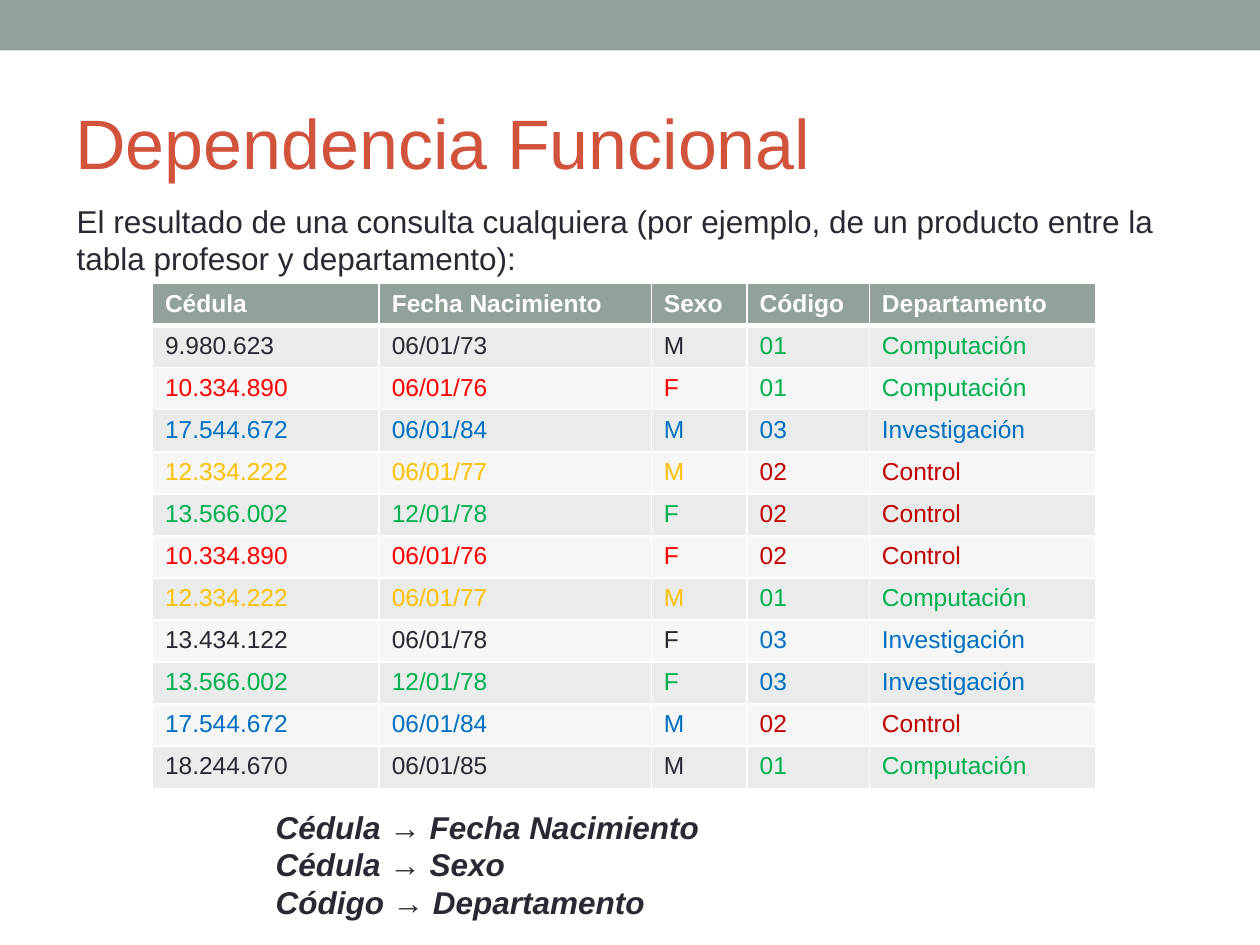
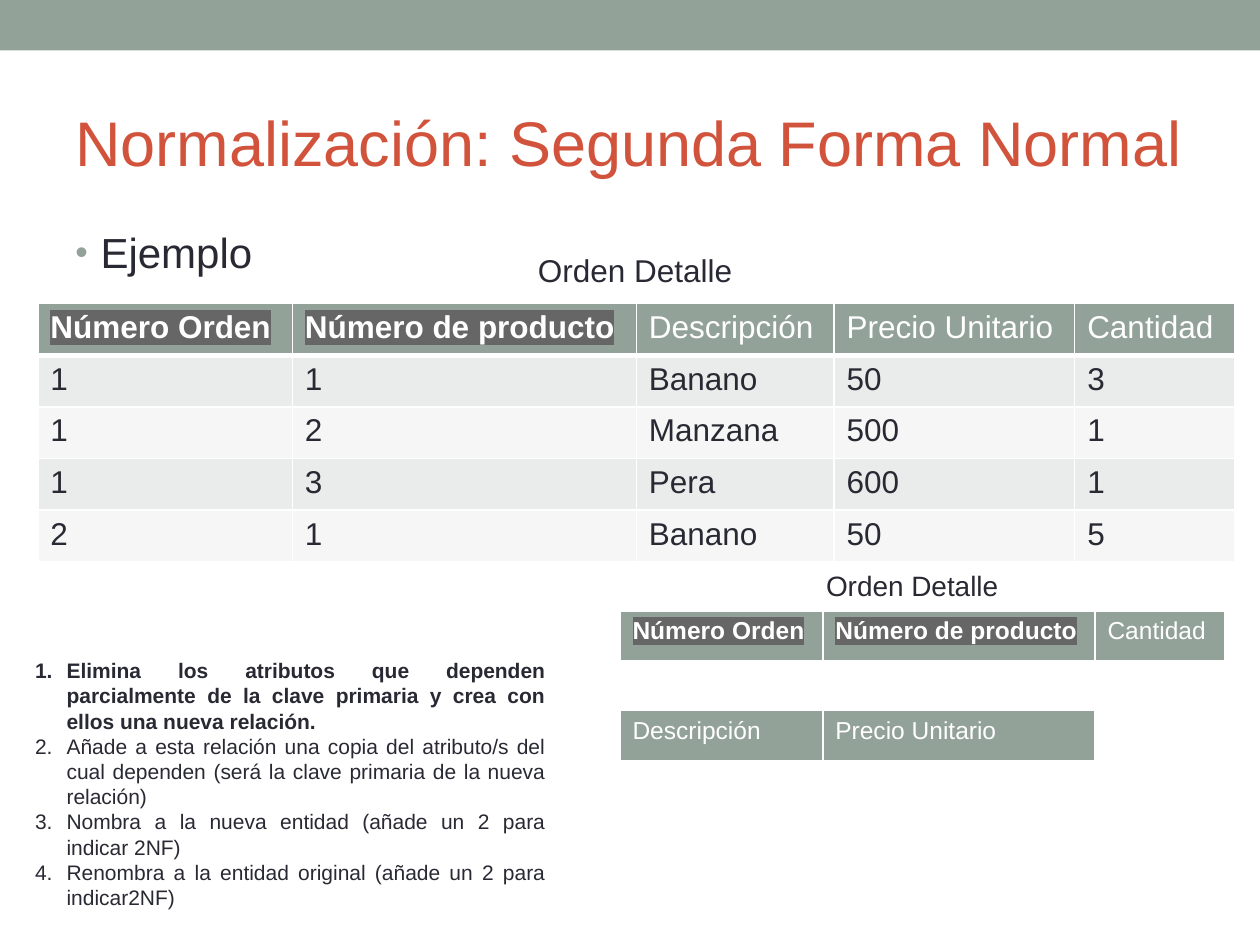
from dataclasses import dataclass
from typing import NamedTuple

from lxml import etree
from pptx import Presentation
from pptx.dml.color import RGBColor
from pptx.enum.shapes import MSO_SHAPE
from pptx.enum.text import MSO_ANCHOR, PP_ALIGN
from pptx.oxml.ns import qn
from pptx.util import Emu, Inches, Pt

RECTANGLE = MSO_SHAPE.RECTANGLE
TOP, MIDDLE = MSO_ANCHOR.TOP, MSO_ANCHOR.MIDDLE
LEFT, CENTER, JUSTIFY = PP_ALIGN.LEFT, PP_ALIGN.CENTER, PP_ALIGN.JUSTIFY

SLIDE_WIDTH, SLIDE_HEIGHT = Inches(10), Inches(7.5)
GRID_COLUMNS, GRID_ROWS = 100, 75
FONT = "Arial"
COLORS = {
    "accent": "93A299",
    "title": "D2533C",
    "text": "292934",
    "white": "FFFFFF",
    "band_dark": "E9ECEA",
    "band_light": "F5F6F5",
    "key": "666666",
    "red": "FF0000",
    "blue": "0070C0",
    "yellow": "FFC000",
    "green": "00B050",
    "dark_red": "C00000",
}


class Box(NamedTuple):
    """Place on the slide, in grid columns and rows."""
    left: float
    top: float
    width: float
    height: float


class Bullet(NamedTuple):
    tag: str
    attribute: str
    value: str
    color: str
    indent: float
    percent: int = 100


class Cell(NamedTuple):
    text: str
    color: str = "text"
    bold: bool = False
    highlight: str | None = None


@dataclass
class Grid:
    """A table whose first row is the header."""
    left: float
    top: float
    column_widths: list[float]
    row_height: float
    size: int
    rows: list[list[Cell]]


DOT = Bullet("a:buChar", "char", "•", "accent", 2, 85)
NUMBER = Bullet("a:buAutoNum", "type", "arabicPeriod", "text", 2.5)

PERSON_COLORS = {
    "10.334.890": "red",
    "17.544.672": "blue",
    "12.334.222": "yellow",
    "13.566.002": "green",
}
DEPARTMENTS = {
    "01": ("Computación", "green"),
    "02": ("Control", "dark_red"),
    "03": ("Investigación", "blue"),
}
PEOPLE = [
    ("9.980.623", "06/01/73", "M", "01"),
    ("10.334.890", "06/01/76", "F", "01"),
    ("17.544.672", "06/01/84", "M", "03"),
    ("12.334.222", "06/01/77", "M", "02"),
    ("13.566.002", "12/01/78", "F", "02"),
    ("10.334.890", "06/01/76", "F", "02"),
    ("12.334.222", "06/01/77", "M", "01"),
    ("13.434.122", "06/01/78", "F", "03"),
    ("13.566.002", "12/01/78", "F", "03"),
    ("17.544.672", "06/01/84", "M", "02"),
    ("18.244.670", "06/01/85", "M", "01"),
]
ORDER_LINES = [
    ("1", "1", "Banano", "50", "3"),
    ("1", "2", "Manzana", "500", "1"),
    ("1", "3", "Pera", "600", "1"),
    ("2", "1", "Banano", "50", "5"),
]
ORDER_KEYS = ["Número Orden", "Número de producto"]
PRODUCT_FIELDS = ["Descripción", "Precio Unitario"]
STEPS = [
    "Elimina los atributos que dependen parcialmente de la clave primaria y crea con ellos una nueva relación.",
    "Añade a esta relación una copia del atributo/s del cual dependen (será la clave primaria de la nueva relación)",
    "Nombra a la nueva entidad (añade un 2 para indicar 2NF)",
    "Renombra a la entidad original (añade un 2 para indicar2NF)",
]


def across(columns: float) -> Emu:
    return Emu(round(SLIDE_WIDTH * columns / GRID_COLUMNS))


def down(rows: float) -> Emu:
    return Emu(round(SLIDE_HEIGHT * rows / GRID_ROWS))


def place(box: Box) -> tuple[Emu, Emu, Emu, Emu]:
    return across(box.left), down(box.top), across(box.width), down(box.height)


def rgb(name: str) -> RGBColor:
    return RGBColor.from_string(COLORS[name])


def add_color(parent, tag: str, color: str):
    element = etree.SubElement(parent, qn(tag))
    etree.SubElement(element, qn("a:srgbClr"), val=COLORS[color])
    return element


def set_bullet(paragraph, bullet: Bullet) -> None:
    properties = paragraph._p.get_or_add_pPr()
    indent = across(bullet.indent)
    properties.set("marL", str(indent))
    properties.set("indent", str(-indent))
    add_color(properties, "a:buClr", bullet.color)
    etree.SubElement(properties, qn("a:buSzPct"), val=str(bullet.percent * 1000))
    etree.SubElement(properties, qn("a:buFont"), typeface=FONT)
    etree.SubElement(properties, qn(bullet.tag), {bullet.attribute: bullet.value})


def write_text(paragraph, text: str, *, size: int, color: str = "text", bold: bool = False,
               italic: bool = False, align: PP_ALIGN = LEFT, highlight: str | None = None,
               bullet: Bullet | None = None) -> None:
    paragraph.alignment = align
    if bullet:
        set_bullet(paragraph, bullet)
    run = paragraph.add_run()
    run.text = text
    font = run.font
    font.size, font.bold, font.italic = Pt(size), bold, italic
    font.color.rgb = rgb(color)
    if highlight:
        add_color(run._r.get_or_add_rPr(), "a:highlight", highlight)
    font.name = FONT


def add_text_box(slide, box: Box, lines: list[str], *, anchor: MSO_ANCHOR = TOP,
                 bold_lines: int = 0, **text_format) -> None:
    """Write one paragraph per line; the first bold_lines of them are bold."""
    frame = slide.shapes.add_textbox(*place(box)).text_frame
    frame.word_wrap = True
    frame.vertical_anchor = anchor
    for index, line in enumerate(lines):
        paragraph = frame.add_paragraph() if index else frame.paragraphs[0]
        write_text(paragraph, line, bold=index < bold_lines, **text_format)


def set_borders(cell, top: float, bottom: float) -> None:
    properties = cell._tc.get_or_add_tcPr()
    widths = {"a:lnL": 1, "a:lnR": 1, "a:lnT": top, "a:lnB": bottom}
    for position, (tag, width) in enumerate(widths.items()):
        line = etree.Element(qn(tag), w=str(Pt(width)))
        add_color(line, "a:solidFill", "white")
        properties.insert(position, line)


def add_grid(slide, grid: Grid) -> None:
    box = Box(grid.left, grid.top, sum(grid.column_widths), grid.row_height * len(grid.rows))
    table = slide.shapes.add_table(len(grid.rows), len(grid.column_widths), *place(box)).table
    table.first_row = table.horz_banding = False
    for column, width in zip(table.columns, grid.column_widths):
        column.width = across(width)
    for row_index, row in enumerate(grid.rows):
        table.rows[row_index].height = down(grid.row_height)
        band = "band_dark" if row_index % 2 else "band_light"
        for column_index, content in enumerate(row):
            cell = table.cell(row_index, column_index)
            cell.fill.solid()
            cell.fill.fore_color.rgb = rgb(band if row_index else "accent")
            set_borders(cell, top=3 if row_index == 1 else 1, bottom=1 if row_index else 3)
            write_text(cell.text_frame.paragraphs[0], content.text, size=grid.size,
                       color=content.color, bold=content.bold, highlight=content.highlight)


def header_cells(keys: list[str], fields: list[str]) -> list[Cell]:
    return ([Cell(key, "white", True, "key") for key in keys]
            + [Cell(field, "white") for field in fields])


def person_cells(identity: str, birth: str, sex: str, code: str) -> list[Cell]:
    """Colour the person's data by identity and the department's by code."""
    department, department_color = DEPARTMENTS[code]
    person_color = PERSON_COLORS.get(identity, "text")
    return ([Cell(text, person_color) for text in (identity, birth, sex)]
            + [Cell(text, department_color) for text in (code, department)])


def add_titled_slide(presentation, title: str, title_size: int):
    slide = presentation.slides.add_slide(presentation.slide_layouts[6])
    band = slide.shapes.add_shape(RECTANGLE, *place(Box(0, 0, GRID_COLUMNS, 4)))
    band.shadow.inherit = False
    band.fill.solid()
    band.fill.fore_color.rgb = rgb("accent")
    band.line.fill.background()
    add_text_box(slide, Box(5, 5.8, 90, 10.8), [title], size=title_size,
                 color="title", anchor=MIDDLE)
    return slide


def build_dependency_slide(presentation) -> None:
    slide = add_titled_slide(presentation, "Dependencia Funcional", 40)
    names = ["Cédula", "Fecha Nacimiento", "Sexo", "Código", "Departamento"]
    header = [Cell(name, "white", True) for name in names]
    add_grid(slide, Grid(12.1, 22.5, [18, 21.6, 7.6, 9.7, 18], 2.9, 14,
                         [header] + [person_cells(*person) for person in PEOPLE]))
    add_text_box(slide, Box(5.1, 15.5, 89.8, 7.1),
                 ["El resultado de una consulta cualquiera (por ejemplo, de un producto "
                  "entre la tabla profesor y departamento):"], size=18)
    dependencies = ["Cédula → Fecha Nacimiento", "Cédula → Sexo", "Código → Departamento"]
    add_text_box(slide, Box(20.9, 63.6, 57.3, 10.1), dependencies, size=18,
                 bold_lines=len(dependencies), italic=True)


def build_second_form_slide(presentation) -> None:
    slide = add_titled_slide(presentation, "Normalización: Segunda Forma Normal", 36)
    add_text_box(slide, Box(5, 17.5, 90, 53.3), ["Ejemplo"], size=24, align=JUSTIFY, bullet=DOT)

    order_rows = [[Cell(text) for text in line] for line in ORDER_LINES]
    order_header = header_cells(ORDER_KEYS, PRODUCT_FIELDS + ["Cantidad"])
    split_widths = [16.1, 21.6, 10.3]
    for grid in (
        Grid(3, 24.1, [20.2, 27.3, 15.7, 19.1, 12.7], 4.1, 18, [order_header] + order_rows),
        Grid(49.2, 48.5, split_widths, 4.1, 14, [header_cells(ORDER_KEYS, ["Cantidad"])]),
        Grid(49.2, 56.4, split_widths[:2], 4.1, 14, [header_cells([], PRODUCT_FIELDS)]),
    ):
        add_grid(slide, grid)
    for box, size in ((Box(37.4, 19.4, 26, 4), 18), (Box(59.4, 44.6, 26, 3.7), 16)):
        add_text_box(slide, box, ["Orden Detalle"], size=size, align=CENTER)

    add_text_box(slide, Box(1.8, 51.7, 42.5, 21.2), STEPS, size=12, bold_lines=1,
                 align=JUSTIFY, bullet=NUMBER)


def main() -> None:
    presentation = Presentation()
    presentation.slide_width, presentation.slide_height = SLIDE_WIDTH, SLIDE_HEIGHT
    build_dependency_slide(presentation)
    build_second_form_slide(presentation)
    presentation.save("out.pptx")


if __name__ == "__main__":
    main()
